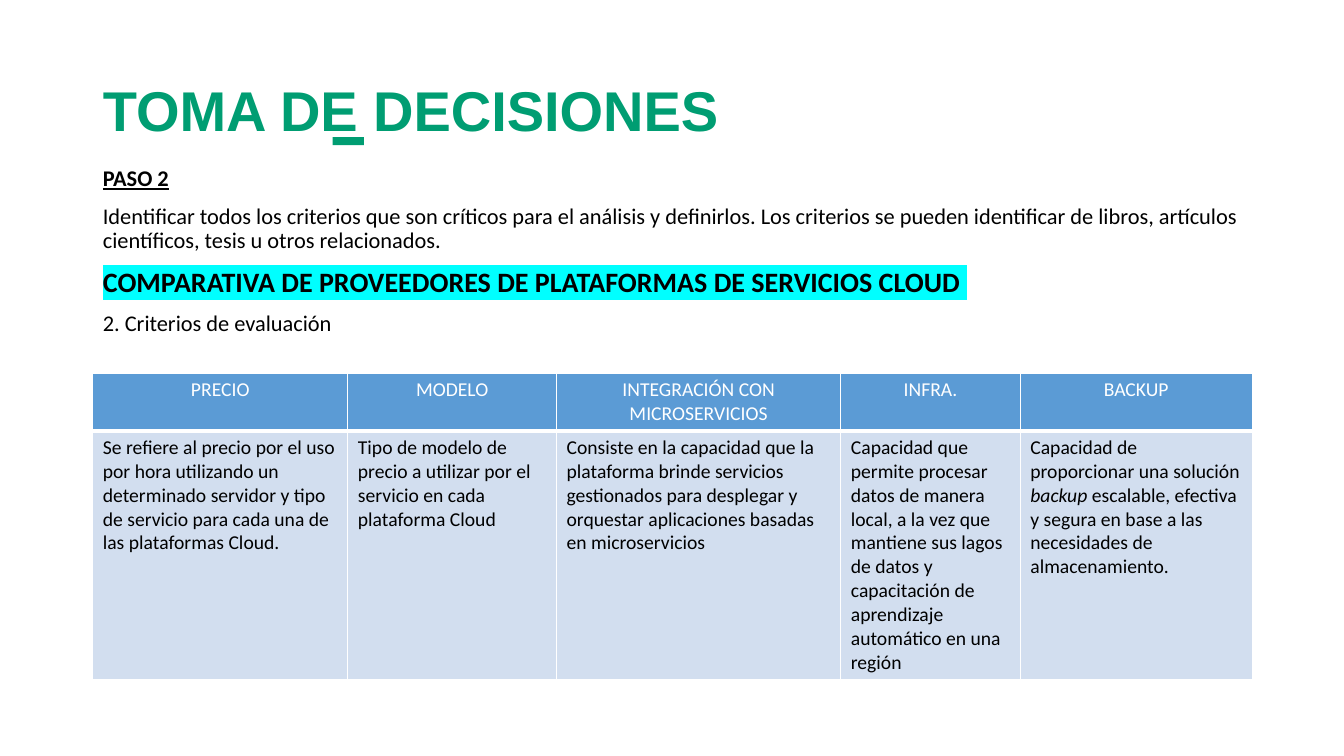
from lxml import etree
from pptx import Presentation
from pptx.dml.color import RGBColor
from pptx.enum.shapes import MSO_SHAPE
from pptx.enum.text import MSO_ANCHOR, MSO_AUTO_SIZE, PP_ALIGN
from pptx.oxml.ns import qn
from pptx.util import Inches, Pt

RECT = MSO_SHAPE.RECTANGLE
MIDDLE, TOP = MSO_ANCHOR.MIDDLE, MSO_ANCHOR.TOP
FIXED = MSO_AUTO_SIZE.NONE
LEFT, CENTER = PP_ALIGN.LEFT, PP_ALIGN.CENTER
GREEN = RGBColor(0x00, 0x9D, 0x72)
BLACK = RGBColor(0x00, 0x00, 0x00)
WHITE = RGBColor(0xFF, 0xFF, 0xFF)
CYAN = RGBColor(0x00, 0xFF, 0xFF)
BLUE = RGBColor(0x5B, 0x9B, 0xD5)
PALE = RGBColor(0xD2, 0xDE, 0xEF)


def add_run(para, text, size, color, bold=False, face="Calibri"):
    run = para.add_run()
    run.text = text
    run.font.size = Pt(size)
    run.font.name = face
    run.font.bold = bold
    run.font.color.rgb = color
    return run


def add_edge(cell, side, width):
    props = cell._tc.get_or_add_tcPr()
    line = etree.SubElement(props, qn("a:" + side), w=str(Pt(width)))
    fill = etree.SubElement(line, qn("a:solidFill"))
    etree.SubElement(fill, qn("a:srgbClr"), val=str(WHITE))


deck = Presentation()
deck.slide_width, deck.slide_height = Inches(13.33), Inches(7.5)
slide = deck.slides.add_slide(deck.slide_layouts[1])

title, body = slide.placeholders
places = [(title, 0.92, 0.4, 11.31, 1.45, MIDDLE),
          (body, 0.92, 1.61, 11.5, 2.14, TOP)]
for box, left, top, width, height, anchor in places:
    box.left, box.top = Inches(left), Inches(top)
    box.width, box.height = Inches(width), Inches(height)
    box.text_frame.word_wrap = True
    box.text_frame.auto_size = FIXED
    box.text_frame.vertical_anchor = anchor

para = title.text_frame.paragraphs[0]
para.alignment = LEFT
para.line_spacing = 0.9
add_run(para, "TOMA DE DECISIONES", 40, GREEN, True, "Arial")

dash = slide.shapes.add_shape(RECT, Inches(3.3), Inches(1.36), Inches(0.31), Inches(0.08))
dash.shadow.inherit = False
dash.fill.solid()
dash.fill.fore_color.rgb = GREEN
dash.line.fill.background()

lines = [
    ("PASO 2", 16, True, True, False),
    ("Identificar todos los criterios que son críticos para el análisis y definirlos. "
     "Los criterios se pueden identificar de libros, artículos científicos, tesis u "
     "otros relacionados.", 16, False, False, False),
    ("COMPARATIVA DE PROVEEDORES DE PLATAFORMAS DE SERVICIOS CLOUD ", 20, True, False, True),
    ("2. Criterios de evaluación", 16, False, False, False),
]
frame = body.text_frame
for i, (text, size, bold, under, mark) in enumerate(lines):
    para = frame.add_paragraph() if i else frame.paragraphs[0]
    para.line_spacing = 0.9
    para.space_before = Pt(10)
    props = para._p.get_or_add_pPr()
    props.set("marL", "0")
    props.set("indent", "0")
    etree.SubElement(props, qn("a:buNone"))
    run = add_run(para, text, size, BLACK, bold)
    run.font.underline = under
    if mark:
        glow = etree.Element(qn("a:highlight"))
        etree.SubElement(glow, qn("a:srgbClr"), val=str(CYAN))
        run.font._element.find(qn("a:solidFill")).addnext(glow)

columns = [
    (2.53, "PRECIO", ["Se refiere al precio por el uso por hora utilizando un determinado "
                      "servidor y tipo de servicio para cada una de las plataformas Cloud."]),
    (2.07, "MODELO", ["Tipo de modelo de precio a utilizar por el servicio en cada "
                      "plataforma Cloud"]),
    (2.82, "INTEGRACIÓN CON MICROSERVICIOS",
     ["Consiste en la capacidad que la plataforma brinde servicios gestionados para "
      "desplegar y orquestar aplicaciones basadas en microservicios"]),
    (1.78, "INFRA.", ["Capacidad que permite procesar datos de manera local, a la vez que "
                      "mantiene sus lagos de datos y capacitación de aprendizaje "
                      "automático en una región"]),
    (2.3, "BACKUP", ["Capacidad de proporcionar una solución ", "backup",
                     " escalable, efectiva y segura en base a las necesidades de "
                     "almacenamiento."]),
]
table = slide.shapes.add_table(2, len(columns), Inches(0.92), Inches(3.7),
                               Inches(11.5), Inches(3)).table
table.rows[0].height, table.rows[1].height = Inches(0.57), Inches(2.46)
for c, (width, head, parts) in enumerate(columns):
    table.columns[c].width = Inches(width)
    rows = [([head], BLUE, WHITE, CENTER, 3), (parts, PALE, BLACK, LEFT, 1)]
    for r, (texts, fill, color, align, base) in enumerate(rows):
        cell = table.cell(r, c)
        for side, edge in [("lnL", 1), ("lnR", 1), ("lnT", 1), ("lnB", base)]:
            add_edge(cell, side, edge)
        cell.fill.solid()
        cell.fill.fore_color.rgb = fill
        para = cell.text_frame.paragraphs[0]
        para.alignment = align
        for text in texts:
            run = add_run(para, text, 14, color)
            run.font.italic = text == "backup"

deck.save("out.pptx")
